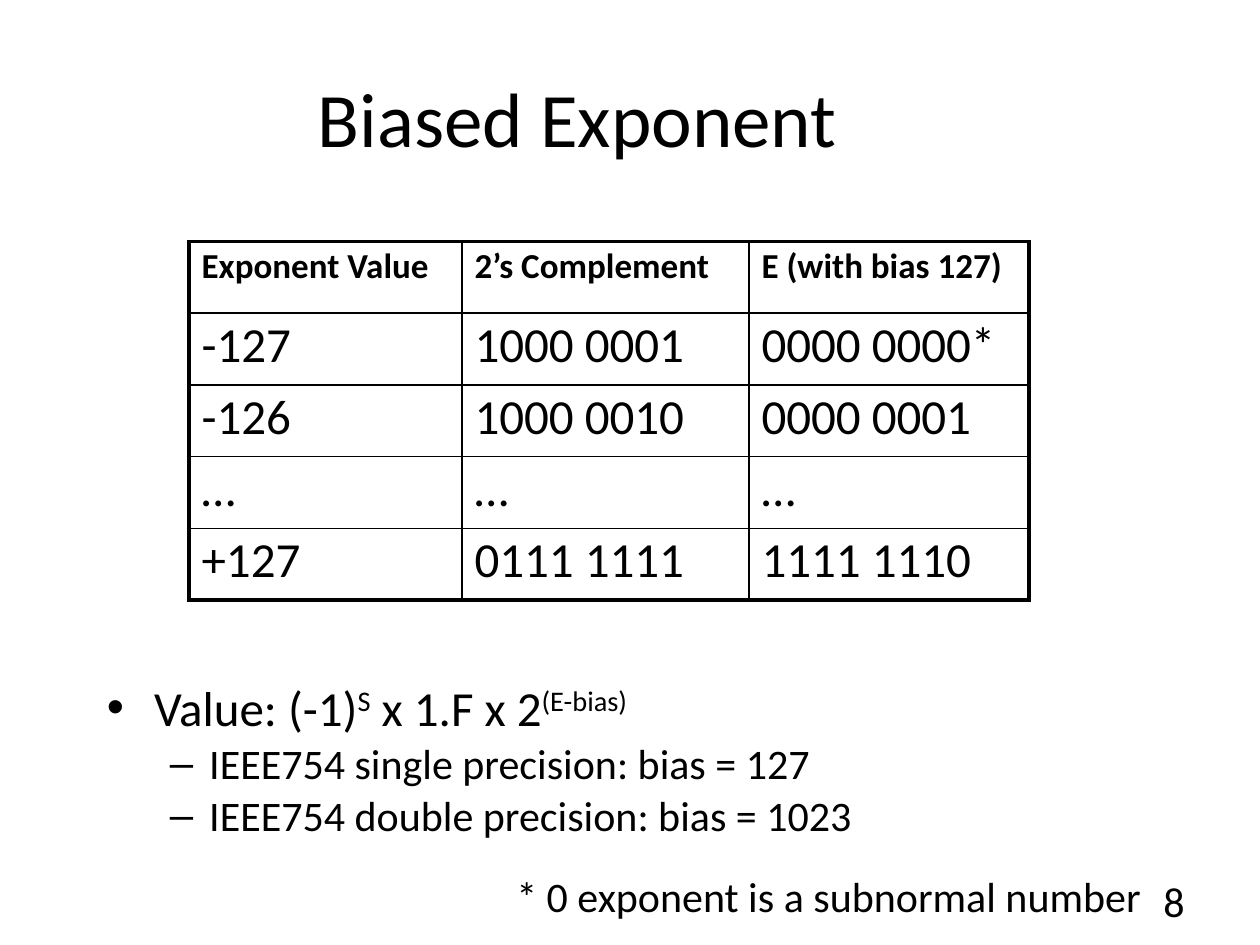
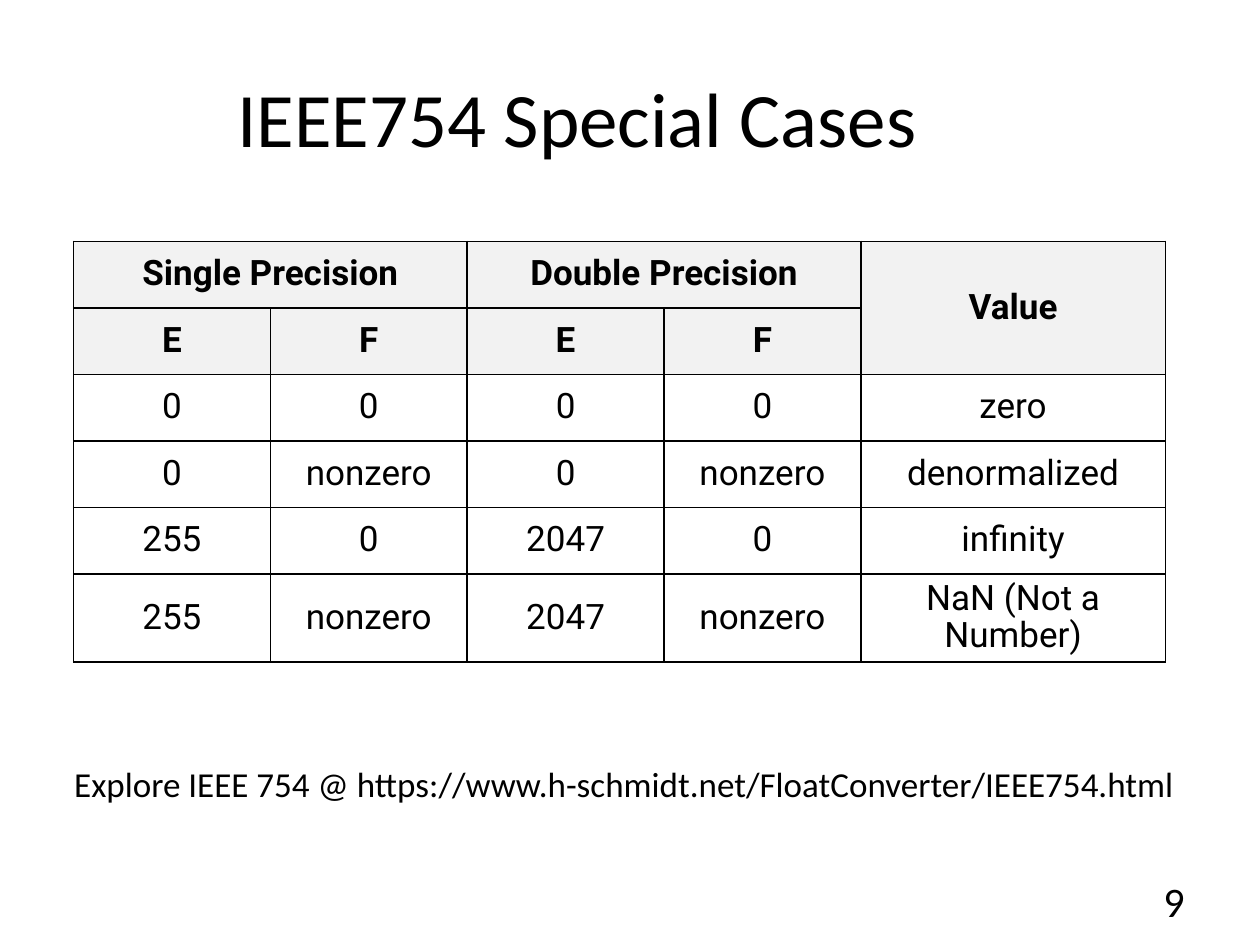
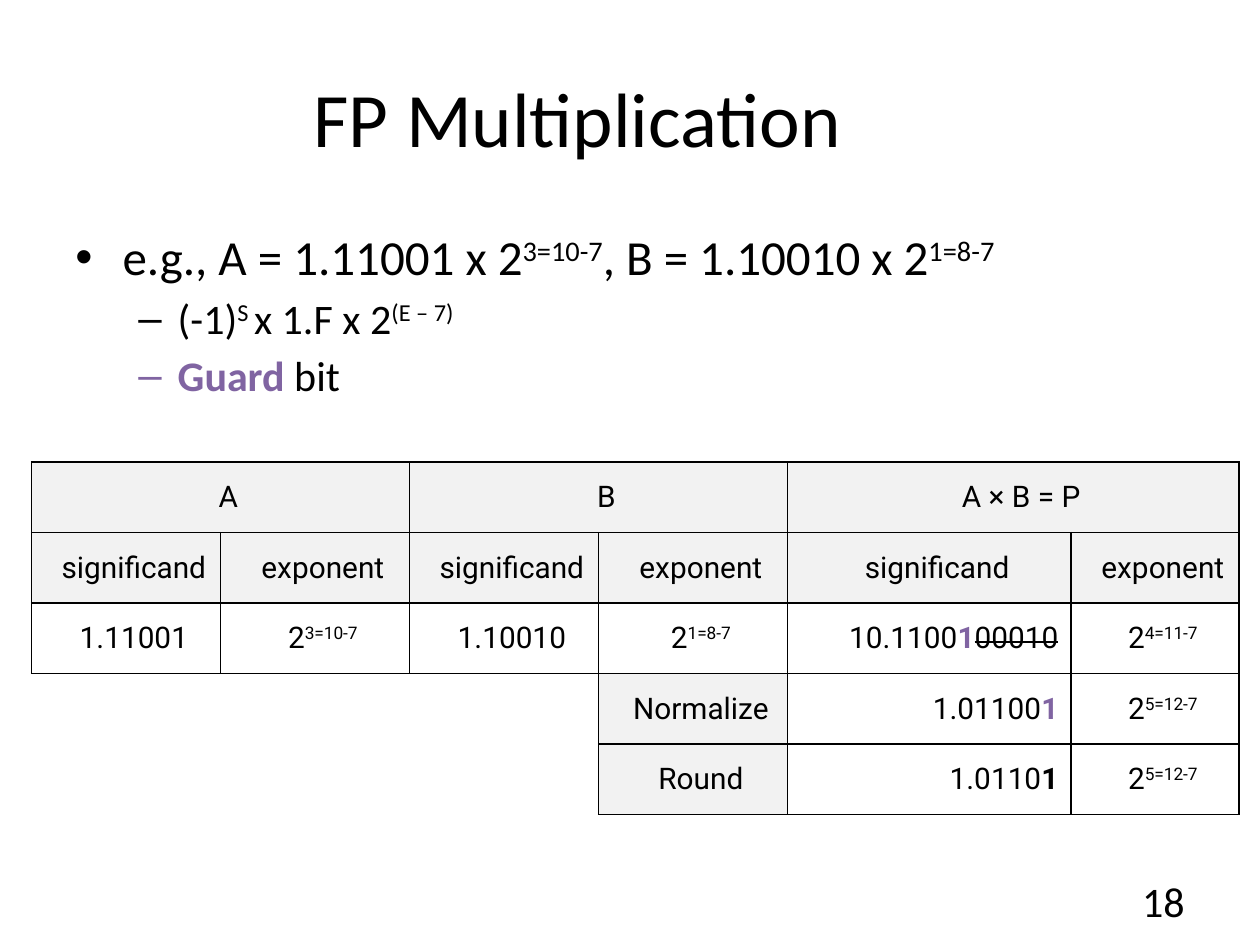
"""Build three slides on floating point numbers."""
from lxml.etree import SubElement
from pptx import Presentation
from pptx.dml.color import RGBColor
from pptx.enum.text import MSO_ANCHOR, MSO_AUTO_SIZE, PP_ALIGN
from pptx.oxml.ns import qn
from pptx.util import Pt

COLORS = {"ink": "000000", "paper": "FFFFFF", "head": "F2F2F2", "guard": "8064A2"}
PLAIN_TABLE = "{2D5ABB26-0587-4C30-8999-92F81FD0307C}"
BULLETS = [("•", 28, 27, -27), ("–", 24, 58.5, -22.5)]


def color(name):
    return RGBColor.from_string(COLORS[name])


class Deck:
    def __init__(self):
        self.show = Presentation()
        self.show.slide_width, self.show.slide_height = Pt(720), Pt(540)
        self.slide = None

    def page(self, title, number):
        self.slide = self.show.slides.add_slide(self.show.slide_layouts[6])
        self.label(title, (36, 21.6, 588, 90), 44, PP_ALIGN.CENTER)
        self.label(number, (600, 500.4, 84, 28.8), 24, PP_ALIGN.RIGHT)

    def frame(self, box):
        frame = self.slide.shapes.add_textbox(*map(Pt, box)).text_frame
        frame.word_wrap = True
        return frame

    def add_runs(self, para, parts, size, font="Calibri", bold=False):
        for part in [parts] if isinstance(parts, str) else parts:
            text, mark = (part, "") if isinstance(part, str) else part
            run = para.add_run()
            run.text = text
            run.font.name, run.font.size = font, Pt(size)
            run.font.bold = bold or mark in ("bold", "guard")
            run.font.color.rgb = color("guard" if mark == "guard" else "ink")
            if mark == "sup":
                run._r.get_or_add_rPr().set("baseline", "30000")
            if mark == "strike":
                run._r.get_or_add_rPr().set("strike", "sngStrike")

    def label(self, text, box, size, align):
        frame = self.frame(box)
        frame.vertical_anchor = MSO_ANCHOR.MIDDLE
        frame.paragraphs[0].alignment = align
        self.add_runs(frame.paragraphs[0], text, size)

    def note(self, text, box, size):
        frame = self.frame(box)
        frame.word_wrap = False
        frame.auto_size = MSO_AUTO_SIZE.SHAPE_TO_FIT_TEXT
        self.add_runs(frame.paragraphs[0], text, size)

    def bullets(self, box, items, spaces):
        frame = self.frame(box)
        for index, (level, parts) in enumerate(items):
            para = frame.add_paragraph() if index else frame.paragraphs[0]
            mark, size, left, hang = BULLETS[level]
            props = para._p.get_or_add_pPr()
            props.set("marL", str(Pt(left)))
            props.set("indent", str(Pt(hang)))
            SubElement(props, qn("a:buFont"), typeface="Arial")
            SubElement(props, qn("a:buChar"), char=mark)
            para.level = level
            para.line_spacing = spaces[level]
            if index:
                para.space_before = Pt(4)
            self.add_runs(para, parts, size)

    def border(self, cell, widths):
        props = cell._tc.get_or_add_tcPr()
        for side, width in zip("LRTB", widths):
            line = SubElement(props, qn(f"a:ln{side}"), w=str(Pt(width)))
            fill = SubElement(line, qn("a:solidFill"))
            SubElement(fill, qn("a:srgbClr"), val=COLORS["ink"])

    def table(self, spot, cols, heights, rows, style, merges=(), gray=(), right=(), edge=1):
        size = sum(cols), sum(heights)
        holder = self.slide.shapes.add_table(
            len(rows), len(cols), *map(Pt, (*spot, *size)))
        table = holder.table
        table.first_row = table.horz_banding = False
        table._tbl.tblPr.find(qn("a:tableStyleId")).text = PLAIN_TABLE
        for col, width in zip(table.columns, cols):
            col.width = Pt(width)
        for row, height in zip(table.rows, heights):
            row.height = Pt(height)
        for r, row in enumerate(rows):
            for c, parts in enumerate(row):
                cell = table.cell(r, c)
                if parts != "":
                    outer = c == 0, c == len(cols) - 1, r == 0, r == len(rows) - 1
                    self.border(cell, [edge if side else 1 for side in outer])
                cell.fill.solid()
                cell.fill.fore_color.rgb = color("head" if (r, c) in gray else "paper")
                if parts:
                    align = PP_ALIGN.RIGHT if (r, c) in right else style["align"]
                    self.fill(cell, parts, align, style, r)
        for start, end in merges:
            table.cell(*start).merge(table.cell(*end))

    def fill(self, cell, parts, align, style, row):
        cell.vertical_anchor = style["anchor"]
        para = cell.text_frame.paragraphs[0]
        para.alignment, para.line_spacing = align, style["space"]
        para._p.get_or_add_pPr().set("marL", str(Pt(style["indent"])))
        head = row < style["bold"]
        size = style["top"] if head else style["size"]
        self.add_runs(para, parts, size, style["font"], head)


def power(exponent):
    return ["2", (exponent, "sup")]


def main():
    deck = Deck()
    heads = {(r, c) for r in range(2) for c in range(6)}
    basic = dict(align=PP_ALIGN.LEFT, anchor=MSO_ANCHOR.TOP, space=0.9, indent=0,
                 bold=1, top=20, size=28, font="Calibri")
    cases = basic | dict(align=PP_ALIGN.CENTER, anchor=MSO_ANCHOR.MIDDLE,
                         bold=2, size=20, font="Roboto")
    steps = cases | dict(space=1.0, indent=9, bold=0, size=17)

    deck.page("Biased Exponent", "8")
    deck.bullets((54, 390, 612, 90), [
        (0, ["Value: (-1)", ("S", "sup"), " x 1.F x 2", ("(E-bias)", "sup")]),
        (1, "IEEE754 single precision: bias = 127"),
        (1, "IEEE754 double precision: bias = 1023"),
    ], (0.8, 0.9))
    deck.table((108, 138), [156, 164, 160], [41] * 5, [
        ["Exponent Value", "2’s Complement", "E (with bias 127)"],
        ["-127", "1000 0001", "0000 0000*"],
        ["-126", "1000 0010", "0000 0001"],
        ["…"] * 3,
        ["+127", "0111 1111", "1111 1110"],
    ], basic, edge=2.25)
    deck.note("* 0 exponent is a subnormal number", (288, 494, 376.6, 36), 24)

    deck.page("IEEE754 Special Cases", "9")
    deck.table((42, 138), [112.5] * 4 + [174], [38] * 5 + [50], [
        ["Single Precision", None, "Double Precision", None, "Value"],
        ["E", "F"] * 2 + [None],
        ["0"] * 4 + ["zero"],
        ["0", "nonzero"] * 2 + ["denormalized"],
        ["255", "0", "2047", "0", "infinity"],
        ["255", "nonzero", "2047", "nonzero", "NaN (Not a Number)"],
    ], cases, [((0, 0), (0, 1)), ((0, 2), (0, 3)), ((0, 4), (1, 4))], heads)
    deck.note("Explore IEEE 754 @ https://www.h-schmidt.net/FloatConverter/IEEE754.html",
              (35.3, 432, 648.7, 31.7), 20)

    deck.page("FP Multiplication", "18")
    deck.bullets((36, 126, 678, 90), [
        (0, ["e.g., A = 1.11001 x 2", ("3=10-7", "sup"),
             ", B = 1.10010 x 2", ("1=8-7", "sup")]),
        (1, ["(-1)", ("S ", "sup"), "x 1.F x 2", ("(E – 7)", "sup")]),
        (1, [("Guard", "guard"), " bit"]),
    ], (1.0, 1.0))
    deck.table((18, 264), [108] * 4 + [162, 96], [40.32] * 5, [
        ["A", None, "B", None, "A × B = P", None],
        ["significand", "exponent"] * 3,
        ["1.11001", power("3=10-7"), "1.10010", power("1=8-7"),
         ["10.1100", ("1", "guard"), ("00010", "strike")], power("4=11-7")],
        [""] * 3 + ["Normalize", ["1.01100", ("1", "guard")], power("5=12-7")],
        [""] * 3 + ["Round", ["1.0110", ("1", "bold")], power("5=12-7")],
    ], steps, [((0, c), (0, c + 1)) for c in (0, 2, 4)],
        heads | {(3, 3), (4, 3)}, {(r, 4) for r in (2, 3, 4)})

    deck.show.save("out.pptx")


if __name__ == "__main__":
    main()
